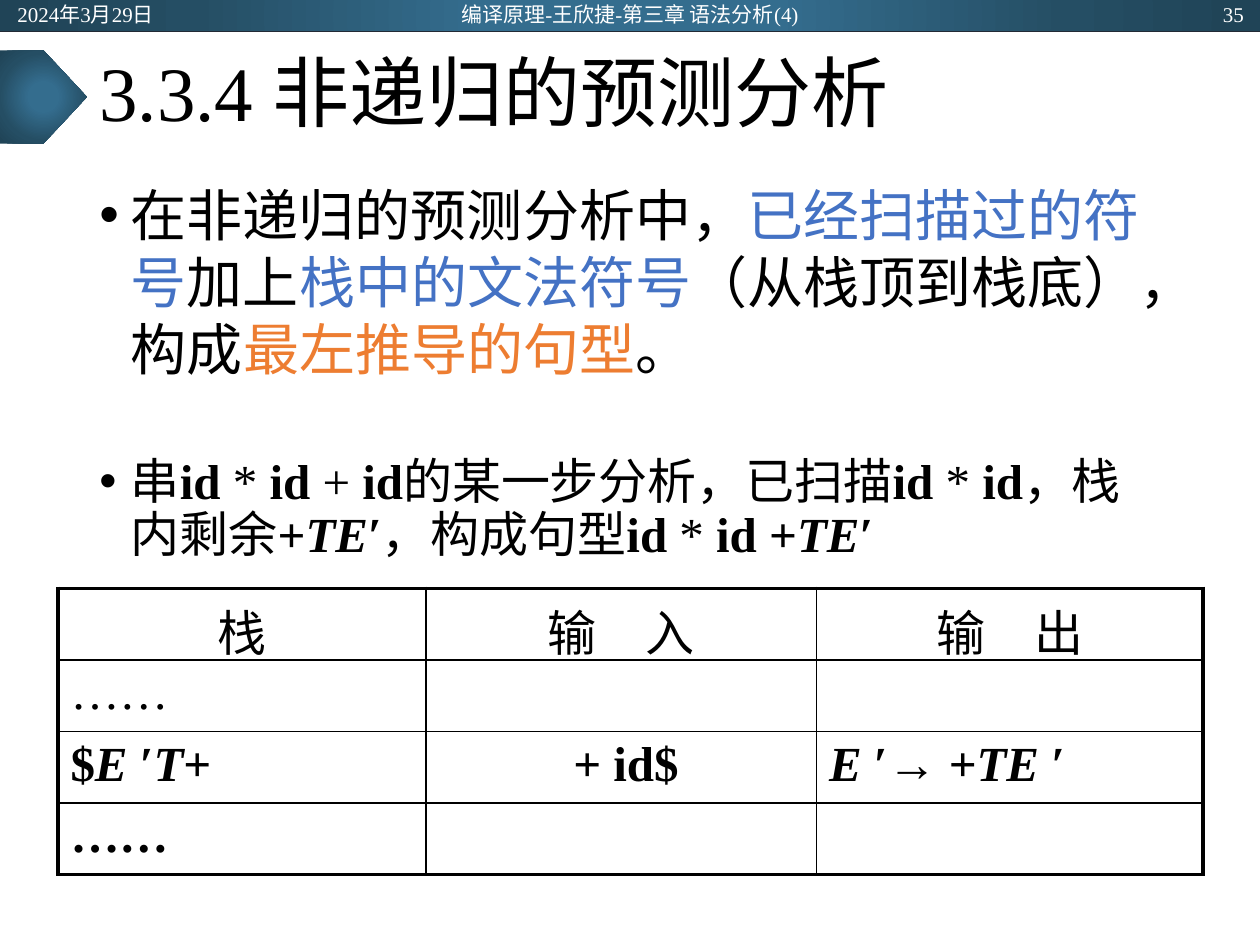
from pptx import Presentation
from pptx.dml.color import RGBColor
from pptx.enum.shapes import MSO_CONNECTOR, MSO_SHAPE
from pptx.enum.text import MSO_ANCHOR, PP_ALIGN
from pptx.oxml import parse_xml
from pptx.oxml.ns import nsdecls, qn
from pptx.util import Inches, Pt

RECTANGLE, PENTAGON = MSO_SHAPE.RECTANGLE, MSO_SHAPE.PENTAGON
STRAIGHT = MSO_CONNECTOR.STRAIGHT
TOP, MIDDLE = MSO_ANCHOR.TOP, MSO_ANCHOR.MIDDLE
LEFT, CENTER, RIGHT = PP_ALIGN.LEFT, PP_ALIGN.CENTER, PP_ALIGN.RIGHT
FONT = "Times New Roman"
COLORS = {"ink": "000000", "white": "FFFFFF", "blue": "4472C4", "orange": "ED7D31",
          "rule": "222A35", "glow": "346D8E", "shade": "254E64", "edge": "204457"}
GLOW_STOPS = [(0, "glow"), (23, "glow"), (69, "shade"), (97, "edge")]
BOLD = {"bold": True}
SLANTED = {"bold": True, "italic": True}


def add_run(paragraph, text, size=28, color="ink", bold=False, italic=False):
    """Append a formatted run to a paragraph."""
    run = paragraph.add_run()
    run.text = text
    font = run.font
    font.name, font.size, font.bold, font.italic = FONT, Pt(size), bold, italic
    font.color.rgb = RGBColor.from_string(COLORS[color])


class SlideBuilder:
    """Draw styled elements placed in percent of the slide's size."""

    def __init__(self, presentation):
        self.width = presentation.slide_width
        self.height = presentation.slide_height
        self.slide = presentation.slides.add_slide(presentation.slide_layouts[6])
        self.shapes = self.slide.shapes

    def place(self, left, top, width, height):
        return (round(self.width * left / 100), round(self.height * top / 100),
                round(self.width * width / 100), round(self.height * height / 100))

    def glowing_shape(self, kind, *box):
        shape = self.shapes.add_shape(kind, *self.place(*box))
        shape.shadow.inherit = False
        shape.line.fill.background()
        shape.fill.background()
        stops = "".join(
            f'<a:gs pos="{share * 1000}"><a:srgbClr val="{COLORS[name]}"/></a:gs>'
            for share, name in GLOW_STOPS)
        gradient = parse_xml(
            f'<a:gradFill {nsdecls("a")} rotWithShape="1"><a:gsLst>{stops}</a:gsLst>'
            '<a:path path="circle"><a:fillToRect l="50000" t="50000" r="50000" b="50000"/>'
            '</a:path></a:gradFill>')
        properties = shape._element.spPr
        properties.replace(properties.find(qn("a:noFill")), gradient)

    def rule(self, top):
        start_x, y, end_x, _ = self.place(0, top, 100, 0)
        connector = self.shapes.add_connector(STRAIGHT, start_x, y, end_x, y)
        connector.line.color.rgb = RGBColor.from_string(COLORS["rule"])
        connector.line.width = Pt(0.5)
        connector._element.spPr.append(parse_xml(f'<a:effectLst {nsdecls("a")}/>'))

    def text(self, box, runs, size, align=LEFT, anchor=TOP, spacing=1.0, bullet=False):
        frame = self.shapes.add_textbox(*self.place(*box)).text_frame
        frame.word_wrap = True
        frame.vertical_anchor = anchor
        paragraph = frame.paragraphs[0]
        paragraph.alignment = align
        paragraph.line_spacing = spacing
        if bullet:
            paragraph.space_before = Pt(10)
            properties = paragraph._p.get_or_add_pPr()
            properties.set("marL", str(Inches(0.25)))
            properties.set("indent", str(-Inches(0.25)))
            properties.append(parse_xml(f'<a:buFont {nsdecls("a")} typeface="Arial"/>'))
            properties.append(parse_xml(f'<a:buChar {nsdecls("a")} char="•"/>'))
        for text, style in runs:
            add_run(paragraph, text, size=size, **style)

    def borders(self, cell, outer_sides):
        properties = cell._tc.get_or_add_tcPr()
        for index, side in enumerate("LRTB"):
            width = Pt(2.25 if side in outer_sides else 1)
            properties.insert(index, parse_xml(
                f'<a:ln{side} {nsdecls("a")} w="{width}"><a:solidFill>'
                f'<a:srgbClr val="{COLORS["ink"]}"/></a:solidFill></a:ln{side}>'))

    def table(self, box, rows, column_shares):
        last_row, last_column = len(rows) - 1, len(column_shares) - 1
        table = self.shapes.add_table(last_row + 1, last_column + 1, *self.place(*box)).table
        table.first_row = table.horz_banding = False
        for column, share in zip(table.columns, column_shares):
            column.width = round(self.width * share / 100)
        for row, contents in enumerate(rows):
            for column, (runs, align, indent) in enumerate(contents):
                cell = table.cell(row, column)
                cell.fill.background()
                edges = {"L": column == 0, "R": column == last_column,
                         "T": row == 0, "B": row == last_row}
                self.borders(cell, [side for side, outer in edges.items() if outer])
                paragraph = cell.text_frame.paragraphs[0]
                paragraph.alignment = align
                paragraph.space_before = Pt(5.6)
                paragraph._p.get_or_add_pPr().set("marL", str(Inches(indent)))
                for text, style in runs:
                    add_run(paragraph, text, **style)


def main():
    """Build the slide on predictive parsing and save it."""
    presentation = Presentation()
    presentation.slide_width, presentation.slide_height = Inches(10), Inches(7.5)
    builder = SlideBuilder(presentation)

    builder.glowing_shape(RECTANGLE, 0, 0, 100, 3.33)
    builder.rule(3.33)
    builder.glowing_shape(PENTAGON, 0, 5.33, 6.9, 9.87)
    builder.text((6.9, 3.33, 86.2, 13.87), [("3.3.4 非递归的预测分析", {})], 44,
                 anchor=MIDDLE, spacing=0.9)

    blue, orange = {"color": "blue"}, {"color": "orange"}
    builder.text((6.9, 18.4, 86.2, 71.73), [
        ("在非递归的预测分析中，", {}), ("已经扫描过的符号", blue), ("加上", {}),
        ("栈中的文法符号", blue), ("（从栈顶到栈底），构成", {}),
        ("最左推导的句型", orange), ("。", {})], 32, bullet=True)

    product = [("id", BOLD), (" * ", {}), ("id", BOLD)]
    remainder = [("+", BOLD), ("TE", SLANTED), ("′", BOLD)]
    builder.text((6.9, 47.73, 86.2, 13.47), [
        ("串", {}), *product, (" + ", {}), ("id", BOLD), ("的某一步分析，已扫描", {}),
        *product, ("，栈内剩余", {}), *remainder, ("，构成句型", {}),
        *product, (" ", BOLD), *remainder], 28, spacing=0.9, bullet=True)

    empty = ([], LEFT, 0)
    header = [([(title, {})], CENTER, 0) for title in ("栈", "输　入", "输　出")]
    stack = [("$", BOLD), ("E ", SLANTED), ("′", BOLD), ("T", SLANTED), ("+", BOLD)]
    output = [("E ", SLANTED), ("′→ +", BOLD), ("TE ", SLANTED), ("′", BOLD)]
    builder.table((4.6, 62.27, 90.9, 30.27), [
        header,
        [([("……", {})], LEFT, 0), empty, empty],
        [(stack, LEFT, 0), ([("+ id$", BOLD)], LEFT, 1.07), (output, LEFT, 0)],
        [([("……", BOLD)], LEFT, 0), empty, empty],
    ], (29.2, 31, 30.7))

    for left, width, text, align in (
            (0.4, 22.5, "2024年3月29日", LEFT),
            (33.1, 33.8, "编译原理-王欣捷-第三章 语法分析(4)", CENTER),
            (77.2, 22.5, "35", RIGHT)):
        builder.text((left, 0.13, width, 2.67), [(text, {"color": "white"})], 12,
                     align=align, anchor=MIDDLE)

    presentation.save("out.pptx")


if __name__ == "__main__":
    main()
